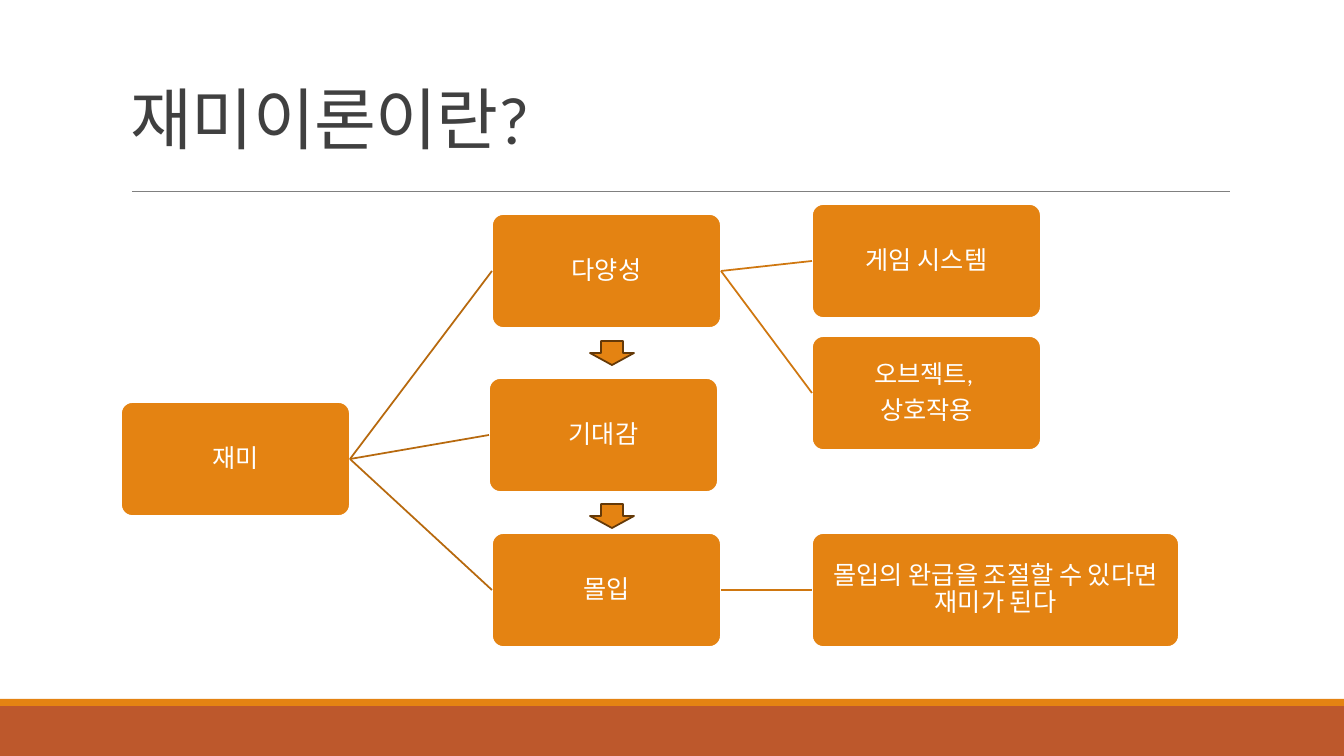
from lxml import etree
from pptx import Presentation
from pptx import util as u
from pptx.dml.color import RGBColor
from pptx.enum import shapes, text
from pptx.oxml.ns import qn

PX = u.Inches(1) / 100.8
COLORS = {
    "rust": "BD582C", "orange": "E48312", "rule": "808080", "title": "404040",
    "white": "FFFFFF", "branch": "B7690E", "twig": "CF7710", "arrow edge": "643908",
}
KIND = shapes.MSO_SHAPE

deck = Presentation()
deck.slide_width, deck.slide_height = round(1344 * PX), round(756 * PX)
slide = deck.slides.add_slide(deck.slide_layouts[6])


def add_block(kind, box, fill, edge=None):
    block = slide.shapes.add_shape(kind, *[round(n * PX) for n in box])
    block.shadow.inherit = False
    block.fill.solid()
    block.fill.fore_color.rgb = RGBColor.from_string(COLORS[fill])
    if edge:
        block.line.color.rgb = RGBColor.from_string(COLORS[edge])
        block.line.width = u.Pt(1.25)
    else:
        block.line.fill.background()
    return block


def add_line(ends, color, width):
    line = slide.shapes.add_connector(
        shapes.MSO_CONNECTOR.STRAIGHT, *[round(n * PX) for n in ends])
    line.line.color.rgb = RGBColor.from_string(COLORS[color])
    line.line.width = u.Pt(width)
    etree.SubElement(line._element.spPr, qn("a:effectLst"))
    return line


add_block(KIND.RECTANGLE, (0, 706, 1344, 50), "rust")
add_block(KIND.RECTANGLE, (0, 699, 1344, 7), "orange")
add_line((132, 191, 1230, 191), "rule", 0.5)

title = slide.shapes.add_textbox(*[round(n * PX) for n in (121, 54, 1026, 109)])
title.text_frame.word_wrap = True
title.text_frame.vertical_anchor = text.MSO_ANCHOR.BOTTOM
heading = title.text_frame.paragraphs[0]
heading.line_spacing = 0.85
question = heading.add_run()
question.text = "재미이론이란?"
question.font.size = u.Pt(48)
question.font.name = "Calibri"
question.font.color.rgb = RGBColor.from_string(COLORS["title"])
question.font._element.set("spc", "-50")

ideas = {
    "fun": (121, 402, 229, ["재미"]),
    "variety": (492, 214, 229, ["다양성"]),
    "system": (812, 204, 229, ["게임 시스템"]),
    "objects": (812, 336, 229, ["오브젝트, ", "상호작용"]),
    "anticipation": (489, 378, 229, ["기대감"]),
    "immersion": (492, 533, 229, ["몰입"]),
    "control": (812, 533, 367, ["몰입의 완급을 조절할 수 있다면 재미가 된다"]),
}
nodes = {}
for idea, (left, top, width, lines) in ideas.items():
    node = add_block(KIND.ROUNDED_RECTANGLE, (left, top, width, 114), "orange", "white")
    node.adjustments[0] = 0.1
    frame = node.text_frame
    frame.word_wrap = True
    frame.vertical_anchor = text.MSO_ANCHOR.MIDDLE
    frame.margin_left = frame.margin_right = round(PX)
    frame.margin_top = frame.margin_bottom = round(PX)
    for i, words in enumerate(lines):
        para = frame.add_paragraph() if i else frame.paragraphs[0]
        para.alignment = text.PP_ALIGN.CENTER
        para.line_spacing = 0.9
        para.space_after = u.Pt(6.3)
        run = para.add_run()
        run.text = words
        run.font.size = u.Pt(18)
        run.font.name = "Calibri"
        run.font.color.rgb = RGBColor.from_string(COLORS["white"])
    nodes[idea] = node

for parent, child, color in [
    ("fun", "variety", "branch"),
    ("fun", "anticipation", "branch"),
    ("fun", "immersion", "branch"),
    ("variety", "system", "twig"),
    ("variety", "objects", "twig"),
    ("immersion", "control", "twig"),
]:
    link = add_line((0, 0, 0, 0), color, 1.25)
    link.begin_connect(nodes[parent], 3)
    link.end_connect(nodes[child], 1)

for top in (341, 504):
    add_block(KIND.DOWN_ARROW, (590, top, 44, 24), "orange", "arrow edge")

deck.save("out.pptx")
